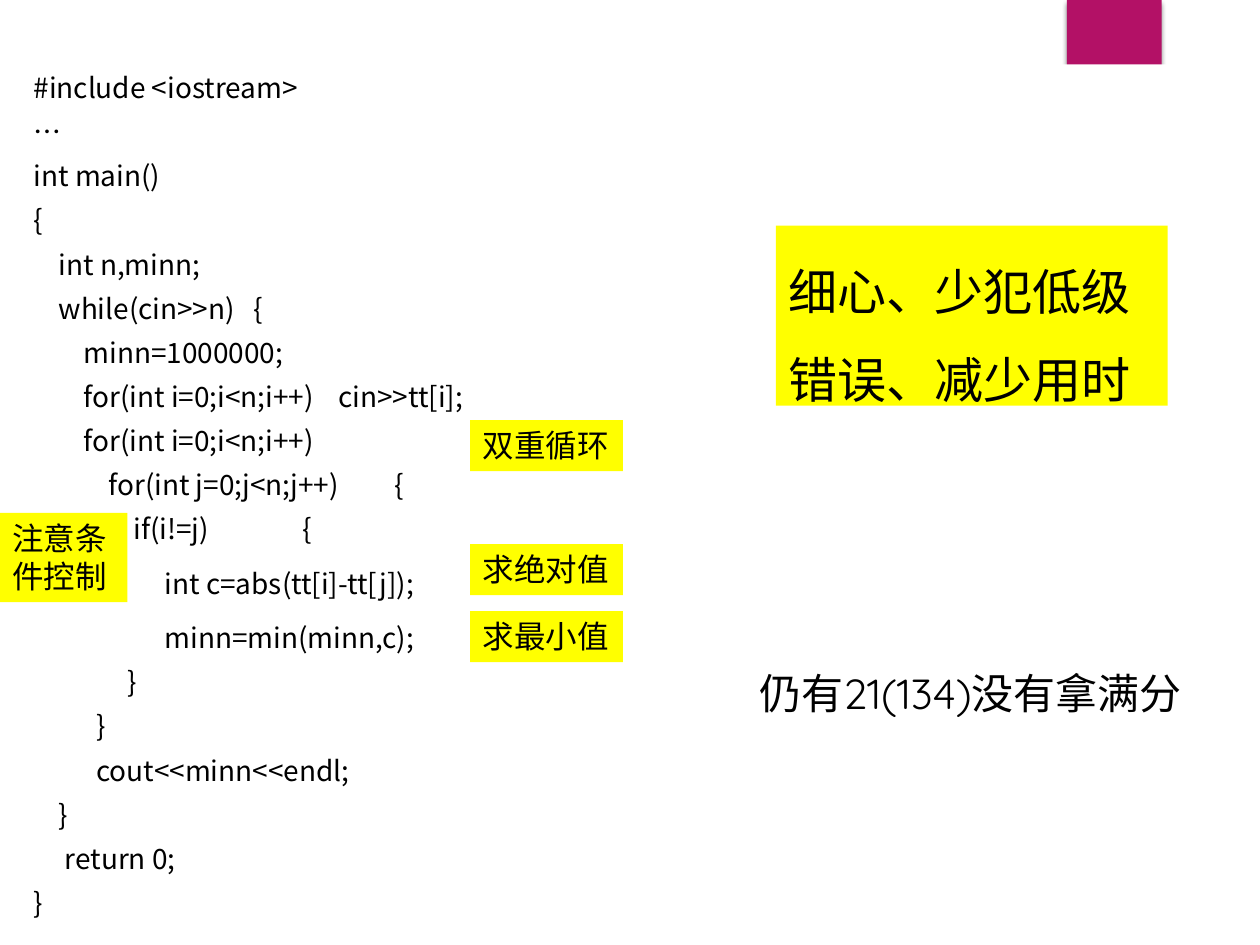
import pptx
import pptx.dml.color
import pptx.enum.shapes
import pptx.enum.text
import pptx.oxml
import pptx.oxml.ns
import pptx.util

Cm = pptx.util.Cm
Pt = pptx.util.Pt
RGBColor = pptx.dml.color.RGBColor
ALIGN = pptx.enum.text.PP_ALIGN

BLACK = RGBColor(0x00, 0x00, 0x00)
WHITE = RGBColor(0xFF, 0xFF, 0xFF)
YELLOW = RGBColor(0xFF, 0xFF, 0x00)
MAGENTA = RGBColor(0xB3, 0x11, 0x66)
CJK_FONT = "Noto Sans CJK SC"
LABEL_FONT = "Quicksand"

CODE = """\
#include <iostream>
…
int main()
{
    int n,minn;
    while(cin>>n)   {
        minn=1000000;
        for(int i=0;i<n;i++)    cin>>tt[i];
        for(int i=0;i<n;i++)
            for(int j=0;j<n;j++)         {
                if(i!=j)               {
                     int c=abs(tt[i]-tt[j]);
                     minn=min(minn,c);
               }
          }
          cout<<minn<<endl;
    }
     return 0;
}"""
LOOP_BODY = range(11, 13)


def add_block(left, top, width, height, color):
    block = slide.shapes.add_shape(
        pptx.enum.shapes.MSO_SHAPE.RECTANGLE, Cm(left), Cm(top), Cm(width), Cm(height))
    block.shadow.inherit = False
    block.fill.solid()
    block.fill.fore_color.rgb = color
    block.line.fill.background()
    block.text_frame.vertical_anchor = pptx.enum.text.MSO_ANCHOR.TOP
    return block


def write(paragraph, text, size, font_name, align=ALIGN.LEFT):
    """Add one black run, with its East Asian typeface set as well."""
    paragraph.alignment = align
    run = paragraph.add_run()
    run.text = text
    run.font.size = Pt(size)
    run.font.name = font_name
    run.font.color.rgb = BLACK
    east_asian = pptx.oxml.parse_xml(
        f'<a:ea {pptx.oxml.ns.nsdecls("a")} typeface="{CJK_FONT}"/>')
    run.font._element.find(pptx.oxml.ns.qn("a:latin")).addnext(east_asian)


prs = pptx.Presentation()
prs.slide_width = Cm(25.4)
prs.slide_height = Cm(19.05)
slide = prs.slides.add_slide(prs.slide_layouts[6])

# Corner tab, partly covered by the code panel
tab = add_block(21.51, 0, 1.91, 3.05, MAGENTA)
effects = tab._element.spPr.find(pptx.oxml.ns.qn("a:effectLst"))
effects.append(pptx.oxml.parse_xml(
    f'<a:outerShdw {pptx.oxml.ns.nsdecls("a")} blurRad="38100" dist="25400" dir="5400000">'
    '<a:srgbClr val="000000"><a:alpha val="45000"/></a:srgbClr></a:outerShdw>'))

# Code listing
code_frame = add_block(0.43, 1.3, 23.6, 17.53, WHITE).text_frame
code_frame.word_wrap = True
for number, code_line in enumerate(CODE.split("\n")):
    paragraph = code_frame.add_paragraph() if number else code_frame.paragraphs[0]
    if number:
        paragraph.space_before = Pt(12 if number in LOOP_BODY else 6)
    write(paragraph, code_line, 16, CJK_FONT, ALIGN.JUSTIFY)

# Advice
advice_frame = add_block(15.64, 4.55, 7.9, 3.63, YELLOW).text_frame
advice_frame.word_wrap = True
advice_frame.paragraphs[0].line_spacing = 1.5
write(advice_frame.paragraphs[0], "细心、少犯低级错误、减少用时", 28, CJK_FONT)

# Notes beside the code lines
for note, left, top, width, height, wraps in [
    ("双重循环", 9.48, 8.47, 3.08, 1.03, False),
    ("求绝对值", 9.48, 10.97, 3.08, 1.03, False),
    ("求最小值", 9.48, 12.32, 3.08, 1.03, False),
    ("注意条件控制", 0, 10.34, 2.57, 1.8, True),
]:
    note_frame = add_block(left, top, width, height, YELLOW).text_frame
    note_frame.word_wrap = wraps
    write(note_frame.paragraphs[0], note, 18, LABEL_FONT)

# Result
result_frame = slide.shapes.add_textbox(Cm(15.06), Cm(13.34), Cm(9.5), Cm(1.27)).text_frame
result_frame.word_wrap = False
write(result_frame.paragraphs[0], "仍有21(134)没有拿满分", 24, LABEL_FONT)

prs.save("out.pptx")
